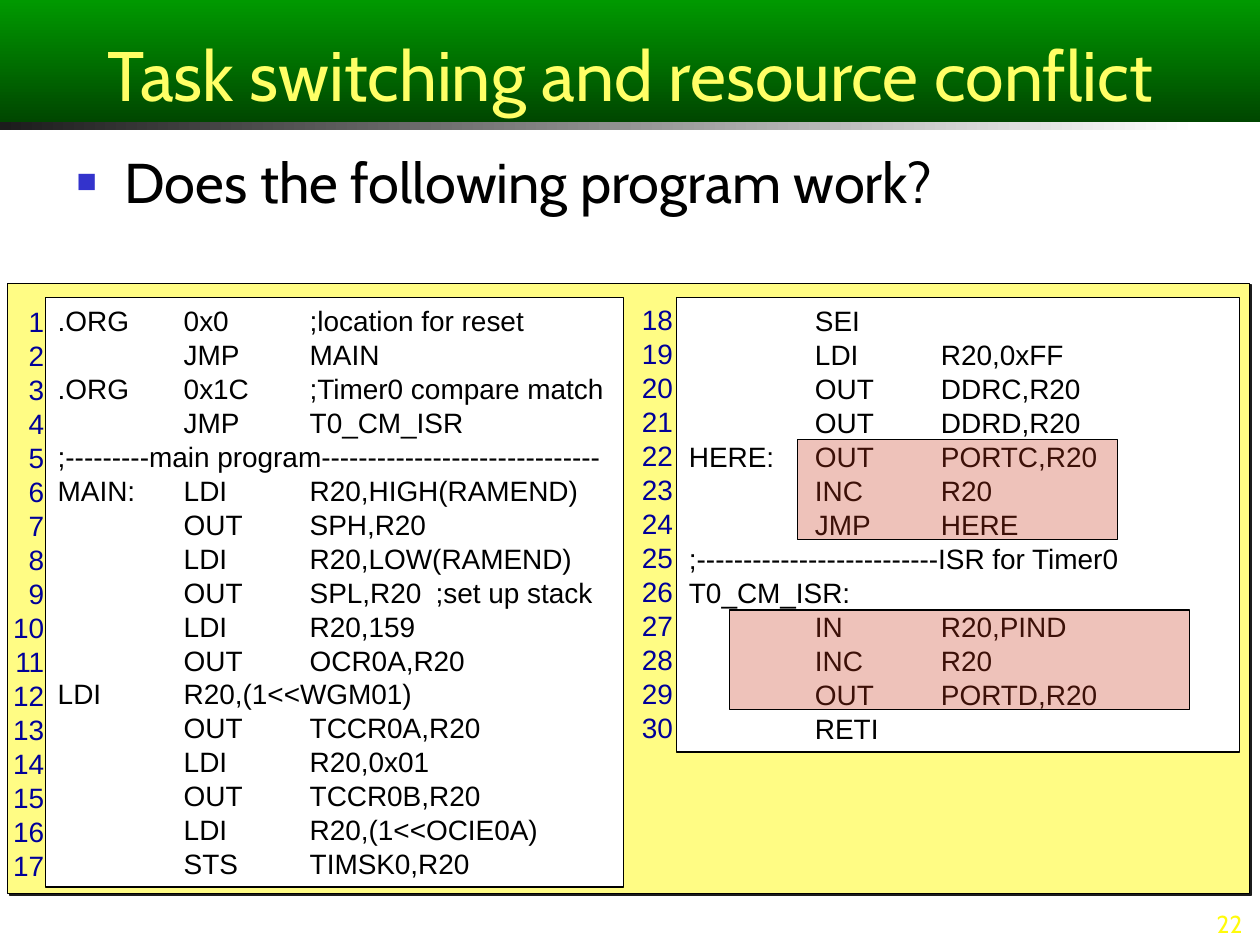
from lxml.etree import SubElement
from pptx import Presentation
from pptx.dml.color import RGBColor
from pptx.enum.shapes import MSO_SHAPE
from pptx.enum.text import MSO_ANCHOR, MSO_AUTO_SIZE, PP_ALIGN
from pptx.oxml import parse_xml
from pptx.oxml.ns import nsdecls, qn
from pptx.util import Inches, Pt

COLORS = {
    "title": "FFFF66", "band_top": "009900", "band_bottom": "004700",
    "strip_left": "1C1C1C", "white": "FFFFFF", "black": "000000",
    "bullet": "3333CC", "panel": "FFFC84", "line_number": "000099",
    "highlight": "C9381B", "page_number": "FFFB0B",
}
WIDTH, HEIGHT = 10, 7.5
BAND_HEIGHT = 0.97
CODE_TOP, ROW_HEIGHT, INSET = 2.36, 0.27, 0.05
NUMBER_WIDTH = 0.54

MAIN_CODE = [
    ".ORG\t0x0\t;location for reset",
    "\tJMP\tMAIN",
    ".ORG\t0x1C\t;Timer0 compare match",
    "\tJMP\tT0_CM_ISR",
    ";---------main program------------------------------",
    "MAIN:\tLDI\tR20,HIGH(RAMEND)",
    "\tOUT\tSPH,R20",
    "\tLDI\tR20,LOW(RAMEND)",
    "\tOUT\tSPL,R20\t;set up stack",
    "\tLDI\tR20,159",
    "\tOUT\tOCR0A,R20\t\tLDI\tR20,(1<<WGM01)",  # wraps onto row 12
    "\tOUT\tTCCR0A,R20",
    "\tLDI\tR20,0x01",
    "\tOUT\tTCCR0B,R20",
    "\tLDI\tR20,(1<<OCIE0A)",
    "\tSTS\tTIMSK0,R20",
]
ISR_CODE = [
    "\tSEI",
    "\tLDI\tR20,0xFF",
    "\tOUT\tDDRC,R20",
    "\tOUT\tDDRD,R20",
    "HERE:\tOUT \tPORTC,R20",
    "\tINC\tR20",
    "\tJMP\tHERE",
    ";--------------------------ISR for Timer0",
    "T0_CM_ISR:",
    "\tIN\tR20,PIND",
    "\tINC\tR20",
    "\tOUT \tPORTD,R20",
    "\tRETI",
]


def color(name):
    return RGBColor.from_string(COLORS[name])


def set_attributes(target, values):
    for name, value in values.items():
        setattr(target, name, value)


def place(shape, left, top, width, height):
    set_attributes(shape, {"left": Inches(left), "top": Inches(top),
                           "width": Inches(width), "height": Inches(height)})


def write_lines(shape, lines, size, font, color_name,
                align=PP_ALIGN.LEFT, anchor=MSO_ANCHOR.TOP, before=0.1):
    frame = shape.text_frame
    set_attributes(frame, {"word_wrap": True, "vertical_anchor": anchor,
                           "auto_size": MSO_AUTO_SIZE.NONE})
    for index, line in enumerate(lines):
        paragraph = frame.add_paragraph() if index else frame.paragraphs[0]
        set_attributes(paragraph, {"alignment": align, "space_before": Pt(before),
                                   "space_after": Pt(0.1)})
        run = paragraph.add_run()
        run.text = line
        set_attributes(run.font, {"size": Pt(size), "name": font})
        run.font.color.rgb = color(color_name)


def set_inch_tabs(shape):
    for paragraph in shape.text_frame.paragraphs:
        tabs = SubElement(paragraph._p.get_or_add_pPr(), qn("a:tabLst"))
        for inch in range(8):
            SubElement(tabs, qn("a:tab"), pos=str(Inches(inch)), algn="l")


def add_text(slide, box, lines, size, font, color_name, **options):
    shape = slide.shapes.add_textbox(*map(Inches, box))
    write_lines(shape, lines, size, font, color_name, **options)
    return shape


def add_box(slide, box, fill, outlined=True):
    shape = slide.shapes.add_shape(MSO_SHAPE.RECTANGLE, *map(Inches, box))
    shape.shadow.inherit = False
    shape.fill.solid()
    shape.fill.fore_color.rgb = color(fill)
    if outlined:
        shape.line.color.rgb = color("black")
        shape.line.width = Pt(0.75)
    else:
        shape.line.fill.background()
    return shape


def fill_gradient(shape, first, last, angle):
    shape.fill.gradient()
    shape.fill.gradient_angle = angle
    for stop, name, position in zip(shape.fill.gradient_stops, (first, last), (0, 1)):
        stop.color.rgb = color(name)
        stop.position = position


def add_title(slide, text):
    title = slide.shapes.title
    place(title, 0, 0, WIDTH, BAND_HEIGHT)
    fill_gradient(title, "band_top", "band_bottom", 270)
    write_lines(title, [text], 40, "Cabin", "title",
                align=PP_ALIGN.CENTER, anchor=MSO_ANCHOR.BOTTOM)
    strip = add_box(slide, (0, BAND_HEIGHT, 9.51, 0.06), "white", outlined=False)
    fill_gradient(strip, "strip_left", "white", 0)


def add_question(slide, text):
    shape = add_text(slide, (0.51, 1.12, 9.09, 0.63), [text], 32, "Cabin", "black",
                     before=8.1)
    properties = shape.text_frame.paragraphs[0]._p.get_or_add_pPr()
    properties.set("marL", str(Inches(0.38)))
    properties.set("indent", str(-Inches(0.38)))
    bullet_color = SubElement(properties, qn("a:buClr"))
    SubElement(bullet_color, qn("a:srgbClr"), val=COLORS["bullet"])
    SubElement(properties, qn("a:buSzPct"), val="60000")
    SubElement(properties, qn("a:buFont"), typeface="Arial")
    SubElement(properties, qn("a:buChar"), char="■")


def add_panel(slide):
    panel = add_box(slide, (0.06, 2.25, 9.86, 4.84), "panel")
    properties = panel._element.spPr
    properties.remove(properties.find(qn("a:effectLst")))
    properties.append(parse_xml(
        f'<a:effectLst {nsdecls("a")}><a:outerShdw dist="{Pt(1.4)}" dir="2700000">'
        f'<a:srgbClr val="{COLORS["strip_left"]}"/></a:outerShdw></a:effectLst>'))


def add_listing(slide, left, width, height, lines, numbers, number_corner):
    """Code box with its line numbers in the margin on the left."""
    code = add_box(slide, (left, CODE_TOP, width, height), "white")
    write_lines(code, lines, 16, "Arial", "black")
    set_inch_tabs(code)
    add_text(slide, (*number_corner, NUMBER_WIDTH, height),
             [str(number) for number in numbers], 16, "Arial", "line_number",
             align=PP_ALIGN.RIGHT)


def add_highlight(slide, left, width, first_row, rows=3):
    top = CODE_TOP + INSET + first_row * ROW_HEIGHT
    shape = add_box(slide, (left, top, width, rows * ROW_HEIGHT - 0.02), "highlight")
    fill_color = shape._element.spPr.find(qn("a:solidFill")).find(qn("a:srgbClr"))
    SubElement(fill_color, qn("a:alpha"), val="30000")


def main():
    presentation = Presentation()
    set_attributes(presentation, {"slide_width": Inches(WIDTH),
                                  "slide_height": Inches(HEIGHT)})
    slide = presentation.slides.add_slide(presentation.slide_layouts[5])

    # Heading and question
    add_title(slide, "Task switching and resource conflict")
    add_question(slide, "Does the following program work?")

    # Program in two columns
    add_panel(slide)
    add_listing(slide, 0.36, 4.59, 4.68, MAIN_CODE, range(1, 18), (-0.09, 2.37))
    add_listing(slide, 5.37, 4.47, 3.61, ISR_CODE, range(18, 31), (4.9, 2.35))

    # Conflicting uses of R20
    add_highlight(slide, 5.79, 3.65, first_row=9)
    add_highlight(slide, 6.33, 2.54, first_row=4)

    # Page number
    add_text(slide, (7.83, 7.22, 2.13, 0.28), ["22"], 14, "Cabin", "page_number",
             align=PP_ALIGN.RIGHT, anchor=MSO_ANCHOR.BOTTOM)
    presentation.save("out.pptx")


if __name__ == "__main__":
    main()
